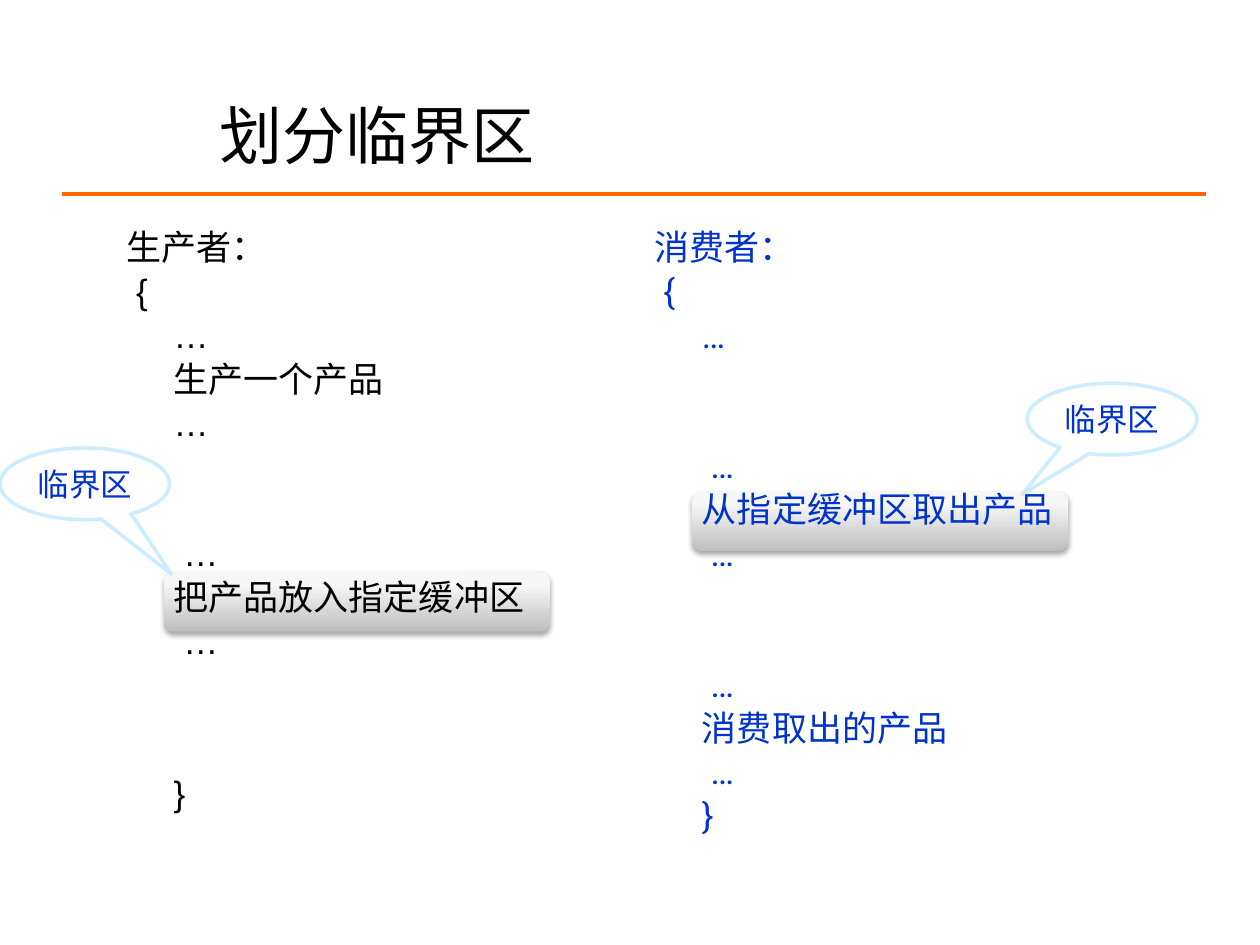
from lxml import etree
from pptx import Presentation, util as u
from pptx.dml.color import RGBColor
from pptx.enum import shapes, text
from pptx.oxml import ns

Pt = u.Pt
HUES = {"ink": "000000", "blue": "0033CC", "rule": "FF6600", "pale": "CCECFF",
        "white": "FFFFFF", "gray": "BEBEBE", "light": "F7F7F7"}
STEP = 3.5   # space before each line
GAP = 53     # space before a line that follows a two-line gap

# Each line: text, space before
MAKER = [("生产者：", 0), (" {", STEP), ("\t…", STEP), ("\t生产一个产品", STEP),
         ("\t…", STEP), ("\t …", GAP), ("\t把产品放入指定缓冲区", STEP),
         ("\t …", STEP), ("\t}", GAP + 12)]
USER = [("消费者：", 0), (" {", STEP), ("\t…", STEP), ("\t …", GAP),
        ("\t从指定缓冲区取出产品", STEP), ("\t …", STEP), ("\t …", GAP),
        ("\t消费取出的产品", STEP), ("\t …", STEP), ("\t}", STEP)]


def tint(name):
    return RGBColor.from_string(HUES[name])


def add(parent, tag, **attrs):
    return etree.SubElement(parent, ns.qn(tag), attrs)


def place(shape, left, top, width, height):
    shape.left, shape.top = Pt(left), Pt(top)
    shape.width, shape.height = Pt(width), Pt(height)


def write(para, words, size=20, face="Arial", hue="ink", align=text.PP_ALIGN.LEFT):
    para.text = words
    para.alignment = align
    para.font.size, para.font.name = Pt(size), face
    para.font.color.rgb = tint(hue)


def draw_list(frame, lines, **style):
    """Code lines with a hanging indent and no bullets."""
    frame.word_wrap = True
    frame.auto_size = text.MSO_AUTO_SIZE.NONE
    for i, (words, space) in enumerate(lines):
        para = frame.paragraphs[0] if i == 0 else frame.add_paragraph()
        props = para._p.get_or_add_pPr()
        props.set("marL", str(Pt(27)))
        props.set("indent", str(Pt(-27)))
        add(props, "a:buNone")
        write(para, words, **style)
        para.line_spacing = 0.9
        para.space_before = Pt(space)


def draw_rule(slide):
    rule = slide.shapes.add_connector(shapes.MSO_CONNECTOR.STRAIGHT,
                                      Pt(35.5), Pt(111), Pt(689), Pt(111))
    rule.line.color.rgb = tint("rule")
    rule.line.width = Pt(2.25)
    add(rule._element.spPr, "a:effectLst")
    return rule


def draw_panel(slide, *area):
    """Gray rounded panel with a soft shadow below it."""
    panel = slide.shapes.add_shape(shapes.MSO_SHAPE.ROUNDED_RECTANGLE,
                                   *map(Pt, area))
    panel.line.fill.background()
    panel.fill.gradient()
    panel.fill.gradient_angle = 90
    stops = zip(panel.fill.gradient_stops, ("gray", "light"), (0, 0.8))
    for stop, hue, spot in stops:
        stop.color.rgb = tint(hue)
        stop.position = spot
    effects = add(panel._element.spPr, "a:effectLst")
    shadow = add(effects, "a:outerShdw", blurRad=str(Pt(3.1)),
                 dist=str(Pt(1.8)), dir="5400000", rotWithShape="0")
    add(add(shadow, "a:srgbClr", val=HUES["ink"]), "a:alpha", val="35000")
    return panel


def draw_bubble(slide, left, top, tip):
    bubble = slide.shapes.add_shape(shapes.MSO_SHAPE.OVAL_CALLOUT,
                                    Pt(left), Pt(top), Pt(97), Pt(41))
    bubble.shadow.inherit = False
    bubble.adjustments[0], bubble.adjustments[1] = tip
    bubble.fill.solid()
    bubble.fill.fore_color.rgb = tint("white")
    bubble.line.color.rgb = tint("pale")
    bubble.line.width = Pt(2)
    frame = bubble.text_frame
    frame.word_wrap = False
    frame.vertical_anchor = text.MSO_ANCHOR.MIDDLE
    write(frame.paragraphs[0], "临界区", size=18, hue="blue",
          align=text.PP_ALIGN.CENTER)


def main():
    deck = Presentation()
    deck.slide_width, deck.slide_height = Pt(720), Pt(540)
    slide = deck.slides.add_slide(deck.slide_layouts[1])

    # Rule and panels go behind the text
    back = [draw_rule(slide),
            draw_panel(slide, 395.5, 281, 215, 34),
            draw_panel(slide, 93.5, 327, 221, 34)]
    for i, shape in enumerate(back):
        slide.shapes._spTree.insert(2 + i, shape._element)

    # Title
    title = slide.shapes.title
    place(title, 118, 54, 523, 46)
    title.text_frame.vertical_anchor = text.MSO_ANCHOR.MIDDLE
    title.text_frame.auto_size = text.MSO_AUTO_SIZE.NONE
    write(title.text_frame.paragraphs[0], "划分临界区", size=36)

    # Two columns of code
    body = slide.placeholders[1]
    place(body, 65, 128, 284, 353)
    draw_list(body.text_frame, MAKER)
    box = slide.shapes.add_textbox(Pt(367), Pt(128), Pt(353), Pt(310))
    draw_list(box.text_frame, USER, face="Roboto", hue="blue")

    # Callouts
    draw_bubble(slide, 0, 256, (0.51, 1.26))
    draw_bubble(slide, 587, 219, (-0.53, 1.05))

    deck.save("out.pptx")


if __name__ == "__main__":
    main()
